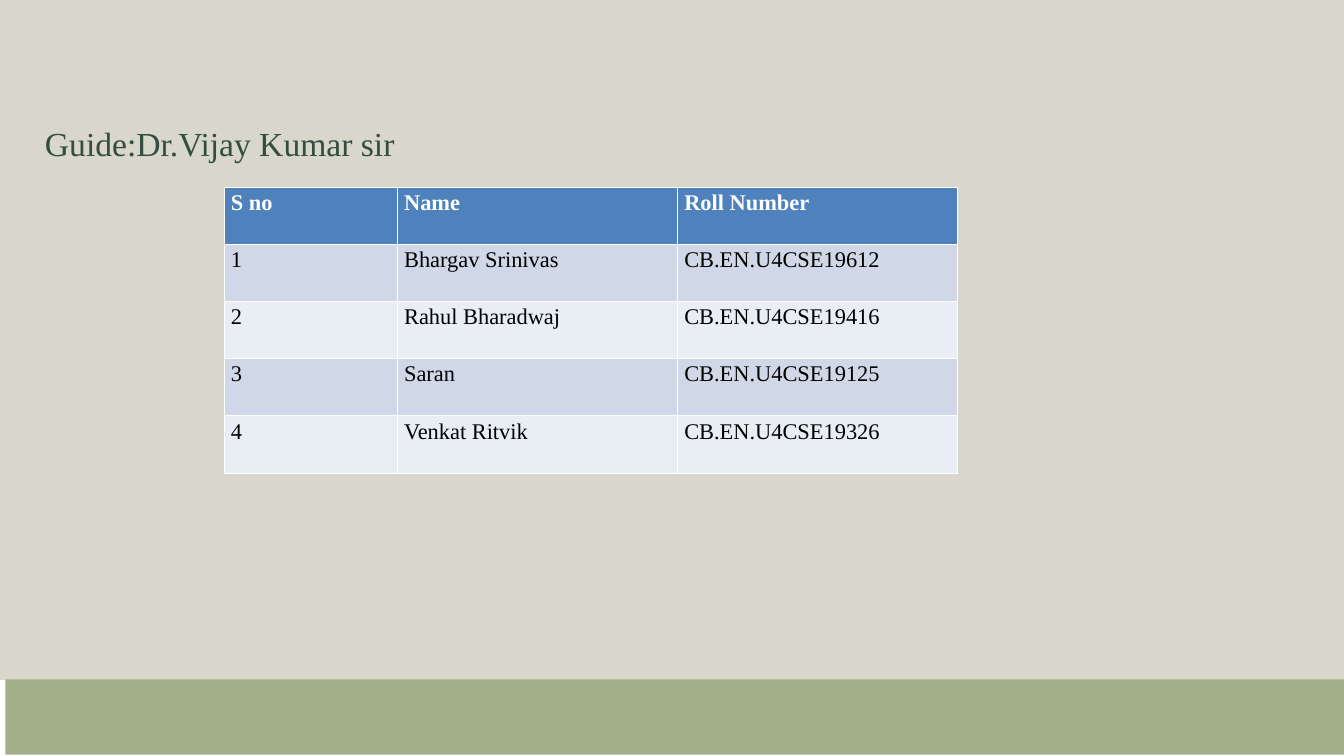
"""Build the slide that names the guide and lists the team."""
from pptx import Presentation
from pptx.dml.color import RGBColor
from pptx.enum.shapes import MSO_SHAPE
from pptx.enum.text import MSO_ANCHOR, MSO_AUTO_SIZE, PP_ALIGN
from pptx.util import Cm, Pt

RECT = MSO_SHAPE.RECTANGLE
TOP = MSO_ANCHOR.TOP
FIXED = MSO_AUTO_SIZE.NONE
LEFT = PP_ALIGN.LEFT

TEAM = [
    ("S no", "Name", "Roll Number"),
    ("1", "Bhargav Srinivas", "CB.EN.U4CSE19612"),
    ("2", "Rahul Bharadwaj", "CB.EN.U4CSE19416"),
    ("3", "Saran", "CB.EN.U4CSE19125"),
    ("4", "Venkat Ritvik", "CB.EN.U4CSE19326"),
]


def paint(fill, shade):
    fill.solid()
    fill.fore_color.rgb = RGBColor.from_string(shade)


def write(frame, text, size=24, color="000000", bold=False, lead=None):
    para = frame.paragraphs[0]
    para.alignment = LEFT
    if lead:
        para.line_spacing = Pt(lead)
    run = para.add_run()
    run.text = text
    font = run.font
    font.name, font.size, font.bold = "Times New Roman", Pt(size), bold
    font.color.rgb = RGBColor.from_string(color)
    return para


class Page:
    head = "4F81BD"
    bands = ("E9EDF4", "D0D8E8")
    green = "334E40"

    def __init__(self, slide):
        self.slide = slide

    def block(self, x, y, w, h, shade):
        shape = self.slide.shapes.add_shape(RECT, Cm(x), Cm(y), Cm(w), Cm(h))
        shape.shadow.inherit = False
        paint(shape.fill, shade)
        shape.line.fill.background()

    def table(self, x, y, widths, tall, rows):
        grid = self.slide.shapes.add_table(
            len(rows), len(widths), Cm(x), Cm(y),
            Cm(sum(widths)), Cm(tall * len(rows))).table
        for col, width in zip(grid.columns, widths):
            col.width = Cm(width)
        for i, row in enumerate(rows):
            for j, text in enumerate(row):
                cell = grid.cell(i, j)
                paint(cell.fill, self.bands[i % 2] if i else self.head)
                write(cell.text_frame, text, bold=i == 0,
                      color="000000" if i else "FFFFFF")

    def title(self, x, y, w, h, text):
        shape = self.slide.shapes.title
        self.slide.shapes._spTree.append(shape._element)
        shape.left, shape.top, shape.width, shape.height = map(Cm, (x, y, w, h))
        frame = shape.text_frame
        frame.auto_size, frame.vertical_anchor = FIXED, TOP
        frame.word_wrap = True
        frame.margin_left = frame.margin_right = frame.margin_bottom = 0
        frame.margin_top = Cm(0.94)
        write(frame, text, size=36, color=self.green, lead=127.5)


def main():
    deck = Presentation()
    deck.slide_width, deck.slide_height = Cm(50.8), Cm(28.58)
    page = Page(deck.slides.add_slide(deck.slide_layouts[5]))
    page.block(0, 0, 50.8, 25.7, "D9D6CC")
    page.block(0.2, 25.68, 50.6, 2.85, "A2B08A")
    page.table(8.47, 7.08, (6.55, 10.59, 10.59), 2.16, TEAM)
    page.title(1.7, 0.74, 14.8, 4.67, "Guide:Dr.Vijay Kumar sir")
    deck.save("out.pptx")


if __name__ == "__main__":
    main()
